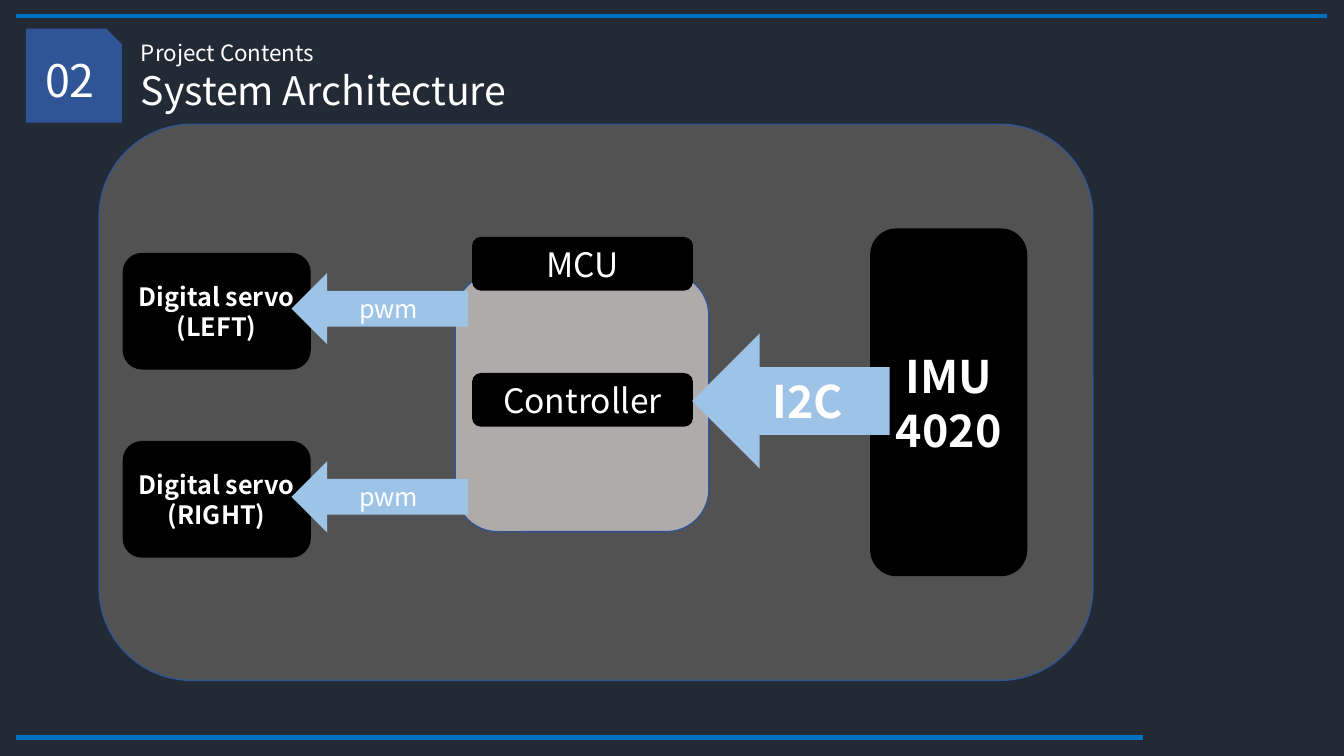
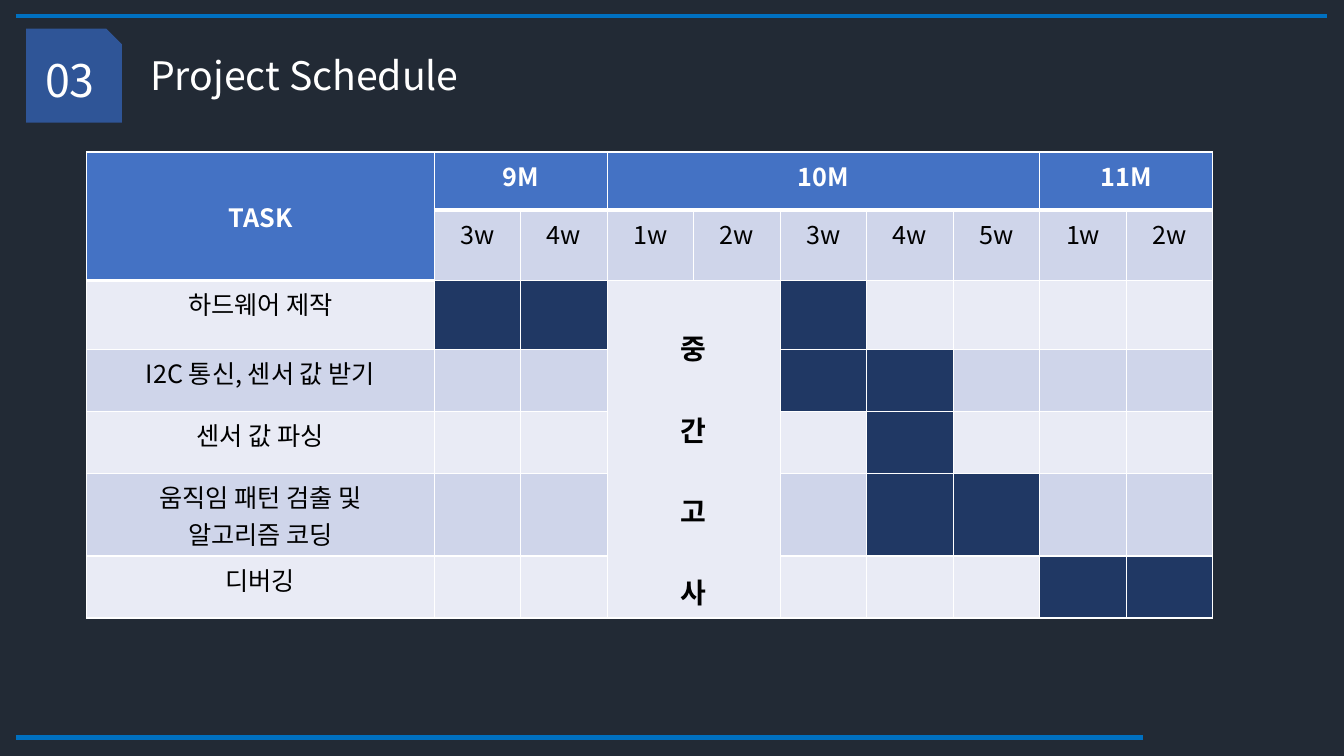
from lxml import etree
from pptx import Presentation
from pptx.dml.color import RGBColor
from pptx.enum.shapes import MSO_CONNECTOR, MSO_SHAPE
from pptx.enum.text import MSO_ANCHOR, PP_ALIGN
from pptx.oxml.ns import qn
from pptx.util import Inches, Pt

ROUND = MSO_SHAPE.ROUNDED_RECTANGLE
ARROW = MSO_SHAPE.LEFT_ARROW
SNIP = MSO_SHAPE.SNIP_1_RECTANGLE
LINE = MSO_CONNECTOR.STRAIGHT
MIDDLE, TOP = MSO_ANCHOR.MIDDLE, MSO_ANCHOR.TOP
CENTER, LEFT = PP_ALIGN.CENTER, PP_ALIGN.LEFT

COLS, ROWS = 160, 90
UNIT = Inches(13.333) / COLS
FONT = "Noto Sans CJK KR"
WHITE, BLACK = "FFFFFF", "000000"
BACK, RULE, BADGE, EDGE = "222A35", "0070C0", "2F5597", "325491"
PANEL, CHIP, FLOW = "525252", "AFABAB", "9DC3E6"
HEAD, DARK, LIGHT, BUSY = "4472C4", "CFD5EA", "E9EBF5", "203864"

PITCH = 22.4
WIDTHS = [41.4] + [10.3] * 9
HEIGHTS = [6.9, 8.4, 8.2, 7.4, 7.4, 9.8, 7.4]
MONTHS = [("9M", 1, 2), ("10M", 3, 7), ("11M", 8, 9)]
WEEKS = ["3w", "4w", "1w", "2w", "3w", "4w", "5w", "1w", "2w"]
TASKS = [
    ("하드웨어 제작", {1, 2, 5}),
    ("I2C 통신, 센서 값 받기", {5, 6}),
    ("센서 값 파싱", {6}),
    ("움직임 패턴 검출 및\n알고리즘 코딩", {6, 7}),
    ("디버깅", {8, 9}),
]


def grid(*vals):
    """Turn grid counts into slide lengths."""
    return [round(val * UNIT) for val in vals]


def paint(color, tone):
    """Give a solid colour to a fill or a font colour."""
    if hasattr(color, "solid"):
        color.solid()
        color = color.fore_color
    color.rgb = RGBColor.from_string(tone)


def write(frame, text, size, tone=WHITE, bold=False, align=CENTER, space=None):
    """Fill a text frame and style its runs."""
    frame.text = text
    frame.word_wrap = True
    for para in frame.paragraphs:
        para.alignment = align
        para.line_spacing = space
        for run in para.runs:
            font = run.font
            font.size, font.bold, font.name = Pt(size), bold, FONT
            paint(font.color, tone)
            etree.SubElement(font._element, qn("a:ea"), typeface=FONT)


def block(slide, kind, at, tone, text="", size=18, bold=False, edge=None):
    """Add a filled shape with centred text."""
    shape = slide.shapes.add_shape(kind, *grid(*at))
    shape.shadow.inherit = False
    paint(shape.fill, tone)
    if edge:
        paint(shape.line.fill, edge)
        shape.line.width = Pt(1)
    else:
        shape.line.fill.background()
    if text:
        write(shape.text_frame, text, size, bold=bold)
        shape.text_frame.vertical_anchor = MIDDLE


def label(slide, at, text, size):
    """Add a plain left-aligned text box."""
    box = slide.shapes.add_textbox(*grid(*at))
    write(box.text_frame, text, size, align=LEFT)


def rule(slide, left, right, top):
    """Draw a level blue line."""
    line = slide.shapes.add_connector(LINE, *grid(left, top, right, top))
    paint(line.line.fill, RULE)
    line.line.width = Pt(3)
    etree.SubElement(line._element.spPr, qn("a:effectLst"))


def start(deck, number):
    """Add a slide with its number badge and both rules."""
    slide = deck.slides.add_slide(deck.slide_layouts[6])
    block(slide, SNIP, (3.1, 3.4, 11.4, 11.2), BADGE, number, 32)
    rule(slide, 1.9, 158, 1.9)
    rule(slide, 1.9, 136.1, 87.8)
    return slide


def border(cell, top, bottom):
    """Draw white cell edges with the given top and bottom points."""
    props = cell._tc.get_or_add_tcPr()
    for side, width in zip("LRTB", (1, 1, top, bottom)):
        line = etree.SubElement(props, qn(f"a:ln{side}"), w=str(Pt(width)))
        fill = etree.SubElement(line, qn("a:solidFill"))
        etree.SubElement(fill, qn("a:srgbClr"), val=WHITE)


def fill(cell, tone, text="", ink=BLACK, bold=False, size=18, anchor=TOP,
         top=1, bottom=1, space=None):
    """Set the edges, fill and text of a table cell."""
    border(cell, top, bottom)
    paint(cell.fill, tone)
    cell.vertical_anchor = anchor
    if text:
        write(cell.text_frame, text, size, ink, bold, space=space)


def design(deck):
    """Build the system architecture slide."""
    slide = start(deck, "02")
    label(slide, (15.6, 4.1, 106.8, 4.4), "Project Contents", 16)
    label(slide, (15.6, 7.3, 106.8, 6.8), "System Architecture", 28)
    block(slide, ROUND, (11.8, 14.8, 118.3, 66.2), PANEL, edge=EDGE)
    block(slide, ROUND, (54.2, 32.5, 30.2, 30.8), CHIP, edge=EDGE)
    for text, top in (("MCU", 28.2), ("Controller", 44.4)):
        block(slide, ROUND, (56.2, top, 26.3, 6.4), BLACK, text, 24)
    block(slide, ROUND, (103.6, 27.2, 18.7, 41.4), BLACK, "IMU 4020", 32, True)
    block(slide, ARROW, (82.4, 39.7, 23.5, 16.1), FLOW, "I2C", 32, True)
    for row, side in enumerate(("LEFT", "RIGHT")):
        drop = row * PITCH
        block(slide, ROUND, (14.6, 30.1 + drop, 22.4, 13.9), BLACK,
              f"Digital servo\n({side})", bold=True)
        block(slide, ARROW, (34.7, 32.5 + drop, 21, 8.5), FLOW, "pwm")


def plan(deck):
    """Build the project schedule slide."""
    slide = start(deck, "03")
    label(slide, (16.7, 5.5, 60.6, 6.8), "Project Schedule", 28)
    at = grid(10.3, 18.1, sum(WIDTHS), sum(HEIGHTS))
    table = slide.shapes.add_table(len(HEIGHTS), len(WIDTHS), *at).table
    for col, width in zip(table.columns, grid(*WIDTHS)):
        col.width = width
    for row, height in zip(table.rows, grid(*HEIGHTS)):
        row.height = height
    cell = table.cell

    cell(0, 0).merge(cell(1, 0))
    fill(cell(0, 0), HEAD, "TASK", WHITE, True, anchor=MIDDLE, bottom=3)
    for text, first, last in MONTHS:
        cell(0, first).merge(cell(0, last))
        fill(cell(0, first), HEAD, text, WHITE, True, bottom=3)
    for col, text in enumerate(WEEKS, 1):
        fill(cell(1, col), DARK, text, top=3)

    cell(2, 3).merge(cell(6, 4))
    fill(cell(2, 3), LIGHT, "중\n간\n고\n사", bold=True, size=20,
         anchor=MIDDLE, space=2)
    for row, (text, busy) in enumerate(TASKS, 2):
        tone = DARK if row % 2 else LIGHT
        fill(cell(row, 0), tone, text, top=3 if row == 2 else 1)
        for col in (1, 2, 5, 6, 7, 8, 9):
            fill(cell(row, col), BUSY if col in busy else tone)


def main():
    """Build and save the deck."""
    deck = Presentation()
    deck.slide_width, deck.slide_height = grid(COLS, ROWS)
    paint(deck.slide_master.background.fill, BACK)
    design(deck)
    plan(deck)
    deck.save("out.pptx")


if __name__ == "__main__":
    main()
